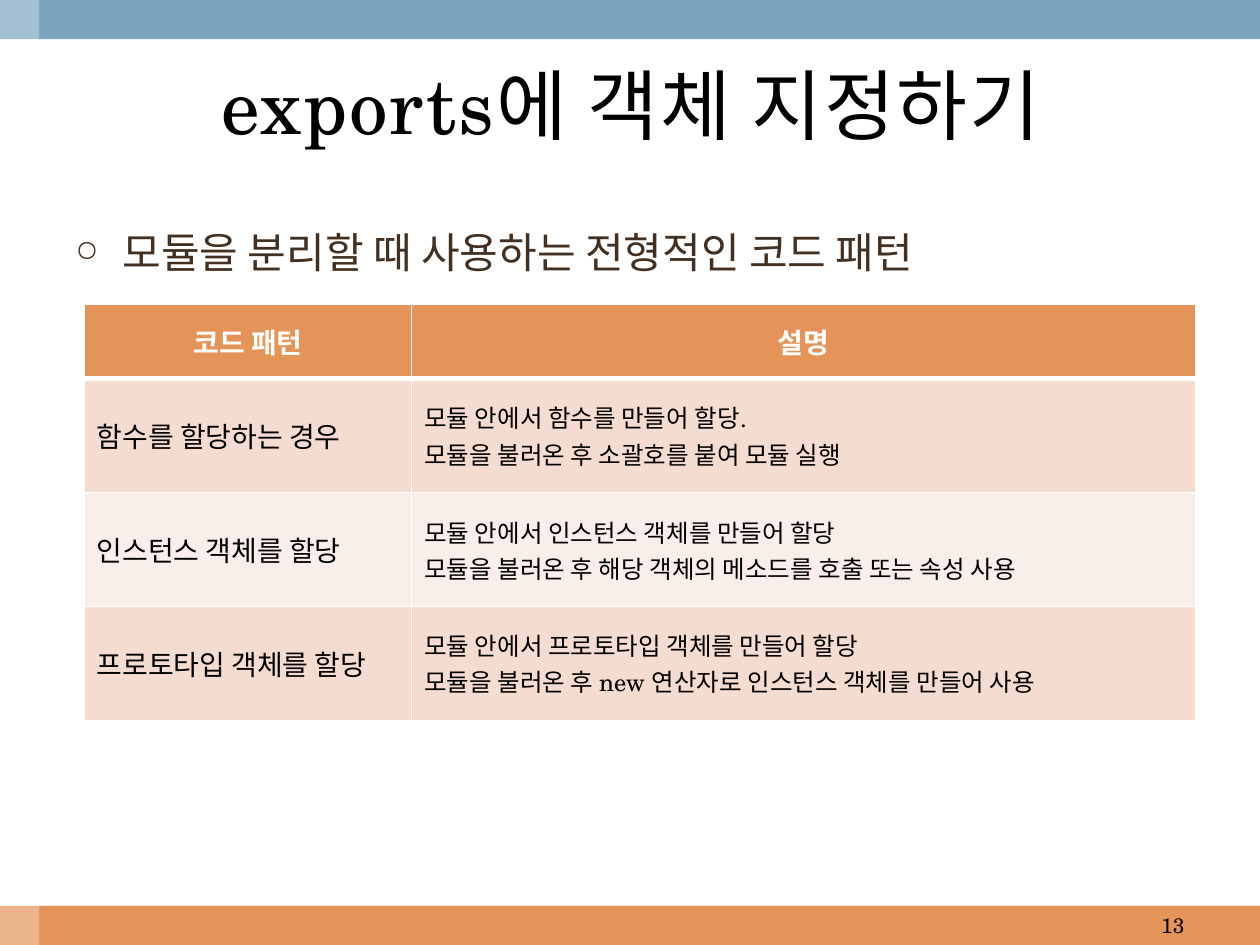
"""Build the slide on code patterns for assigning objects to exports."""
from dataclasses import dataclass
from typing import NamedTuple

from lxml import etree
from pptx import Presentation
from pptx import util as u
from pptx.dml.color import RGBColor
from pptx.enum import shapes, text
from pptx.oxml import ns


@dataclass(frozen=True)
class Theme:
    font: str = "TeX Gyre Schola"
    orange: str = "E49458"
    blue: str = "7BA5BE"
    white: str = "FFFFFF"
    black: str = "000000"
    brown: str = "433021"
    bands: tuple[str, str] = ("F5DCD1", "FAEEEA")
    title: float = 44
    body: float = 24
    label: float = 16
    detail: float = 14
    number: float = 12


class Box(NamedTuple):
    left: float
    top: float
    width: float
    height: float

    def lengths(self) -> list[u.Length]:
        return [u.Cm(value) for value in self]


class Style(NamedTuple):
    size: float
    color: str
    align: text.PP_ALIGN = text.PP_ALIGN.LEFT
    bold: bool = False


class Bar(NamedTuple):
    box: Box
    color: str
    opacity: int = 100


class Pattern(NamedTuple):
    name: str
    description: str


THEME = Theme()
WIDTH, HEIGHT, BAND = 25.4, 19.05, 0.79
COLUMNS = (6.6, 15.8)
HEADER_HEIGHT, ROW_HEIGHT = 1.5, 2.3

BARS = (
    Bar(Box(0, HEIGHT - BAND, WIDTH, BAND), THEME.orange),
    Bar(Box(0, 0, WIDTH, BAND), THEME.blue),
    Bar(Box(0, 0, BAND, HEIGHT), THEME.white, 30),
)
HEADER = Pattern("코드 패턴", "설명")
PATTERNS = (
    Pattern("함수를 할당하는 경우",
            "모듈 안에서 함수를 만들어 할당.\n모듈을 불러온 후 소괄호를 붙여 모듈 실행"),
    Pattern("인스턴스 객체를 할당",
            "모듈 안에서 인스턴스 객체를 만들어 할당\n"
            "모듈을 불러온 후 해당 객체의 메소드를 호출 또는 속성 사용"),
    Pattern("프로토타입 객체를 할당",
            "모듈 안에서 프로토타입 객체를 만들어 할당\n"
            "모듈을 불러온 후 new 연산자로 인스턴스 객체를 만들어 사용"),
)


def rgb(color: str) -> RGBColor:
    return RGBColor.from_string(color)


def write(frame, wording: str, style: Style) -> None:
    frame.text = wording
    for paragraph in frame.paragraphs:
        paragraph.alignment = style.align
        paragraph.font.name = THEME.font
        paragraph.font.size = u.Pt(style.size)
        paragraph.font.bold = style.bold
        paragraph.font.color.rgb = rgb(style.color)


def add_bar(slide, bar: Bar) -> None:
    band = slide.shapes.add_shape(shapes.MSO_SHAPE.RECTANGLE, *bar.box.lengths())
    band.shadow.inherit = False
    band.fill.solid()
    band.fill.fore_color.rgb = rgb(bar.color)
    band.line.fill.background()
    if bar.opacity < 100:
        tint = band.fill._xPr.find(".//" + ns.qn("a:srgbClr"))
        etree.SubElement(tint, ns.qn("a:alpha"), val=str(bar.opacity * 1000))


def add_text(slide, box: Box, wording: str, style: Style,
             anchor: text.MSO_ANCHOR = text.MSO_ANCHOR.MIDDLE):
    frame = slide.shapes.add_textbox(*box.lengths()).text_frame
    frame.word_wrap = True
    frame.vertical_anchor = anchor
    write(frame, wording, style)
    return frame.paragraphs[0]


def add_bullet(paragraph, symbol: str, percent: int, indent: float) -> None:
    properties = paragraph._p.get_or_add_pPr()
    properties.set("marL", str(u.Cm(indent)))
    properties.set("indent", str(-u.Cm(indent)))
    size = etree.Element(ns.qn("a:buSzPct"), val=str(percent * 1000))
    mark = etree.Element(ns.qn("a:buChar"), char=symbol)
    properties.insert(0, size)
    properties.insert(1, mark)


def fill_cell(cell, wording: str, style: Style, fill: str, bottom: float) -> None:
    write(cell.text_frame, wording, style)
    cell.vertical_anchor = text.MSO_ANCHOR.MIDDLE
    properties = cell._tc.get_or_add_tcPr()
    for side, points in (("L", 1), ("R", 1), ("T", 1), ("B", bottom)):
        edge = etree.SubElement(properties, ns.qn(f"a:ln{side}"), w=str(u.Pt(points)))
        paint = etree.SubElement(edge, ns.qn("a:solidFill"))
        etree.SubElement(paint, ns.qn("a:srgbClr"), val=THEME.white)
    cell.fill.solid()
    cell.fill.fore_color.rgb = rgb(fill)


def add_patterns(slide, left: float, top: float) -> None:
    box = Box(left, top, sum(COLUMNS), HEADER_HEIGHT + ROW_HEIGHT * len(PATTERNS))
    table = slide.shapes.add_table(len(PATTERNS) + 1, len(COLUMNS), *box.lengths()).table
    for column, width in zip(table.columns, COLUMNS):
        column.width = u.Cm(width)
    heading = Style(THEME.label, THEME.white, text.PP_ALIGN.CENTER, True)
    styles = (Style(THEME.label, THEME.black), Style(THEME.detail, THEME.black))
    table.rows[0].height = u.Cm(HEADER_HEIGHT)
    for column, wording in enumerate(HEADER):
        fill_cell(table.cell(0, column), wording, heading, THEME.orange, 3)
    for row, pattern in enumerate(PATTERNS, 1):
        table.rows[row].height = u.Cm(ROW_HEIGHT)
        for column, wording in enumerate(pattern):
            fill_cell(table.cell(row, column), wording, styles[column],
                      THEME.bands[(row - 1) % 2], 1)
    for column in range(len(COLUMNS)):
        edge = table.cell(1, column)._tc.tcPr.find(ns.qn("a:lnT"))
        edge.set("w", str(u.Pt(3)))


def main() -> None:
    deck = Presentation()
    deck.slide_width, deck.slide_height = u.Cm(WIDTH), u.Cm(HEIGHT)
    slide = deck.slides.add_slide(deck.slide_layouts[6])
    for bar in BARS:
        add_bar(slide, bar)
    lead = add_text(slide, Box(1.27, 4.45, 22.86, 1.88),
                    "모듈을 분리할 때 사용하는 전형적인 코드 패턴",
                    Style(THEME.body, THEME.brown), text.MSO_ANCHOR.TOP)
    add_bullet(lead, "○", 70, 0.95)
    title = add_text(slide, Box(0.84, 0.79, 23.77, 2.62), "exports에 객체 지정하기",
                     Style(THEME.title, THEME.black, text.PP_ALIGN.CENTER))
    title.runs[0].font._element.set("spc", "100")
    add_patterns(slide, 1.7, 6.13)
    add_text(slide, Box(18.21, HEIGHT - BAND, 5.92, BAND), "13",
             Style(THEME.number, THEME.black, text.PP_ALIGN.RIGHT))
    deck.save("out.pptx")


if __name__ == "__main__":
    main()
